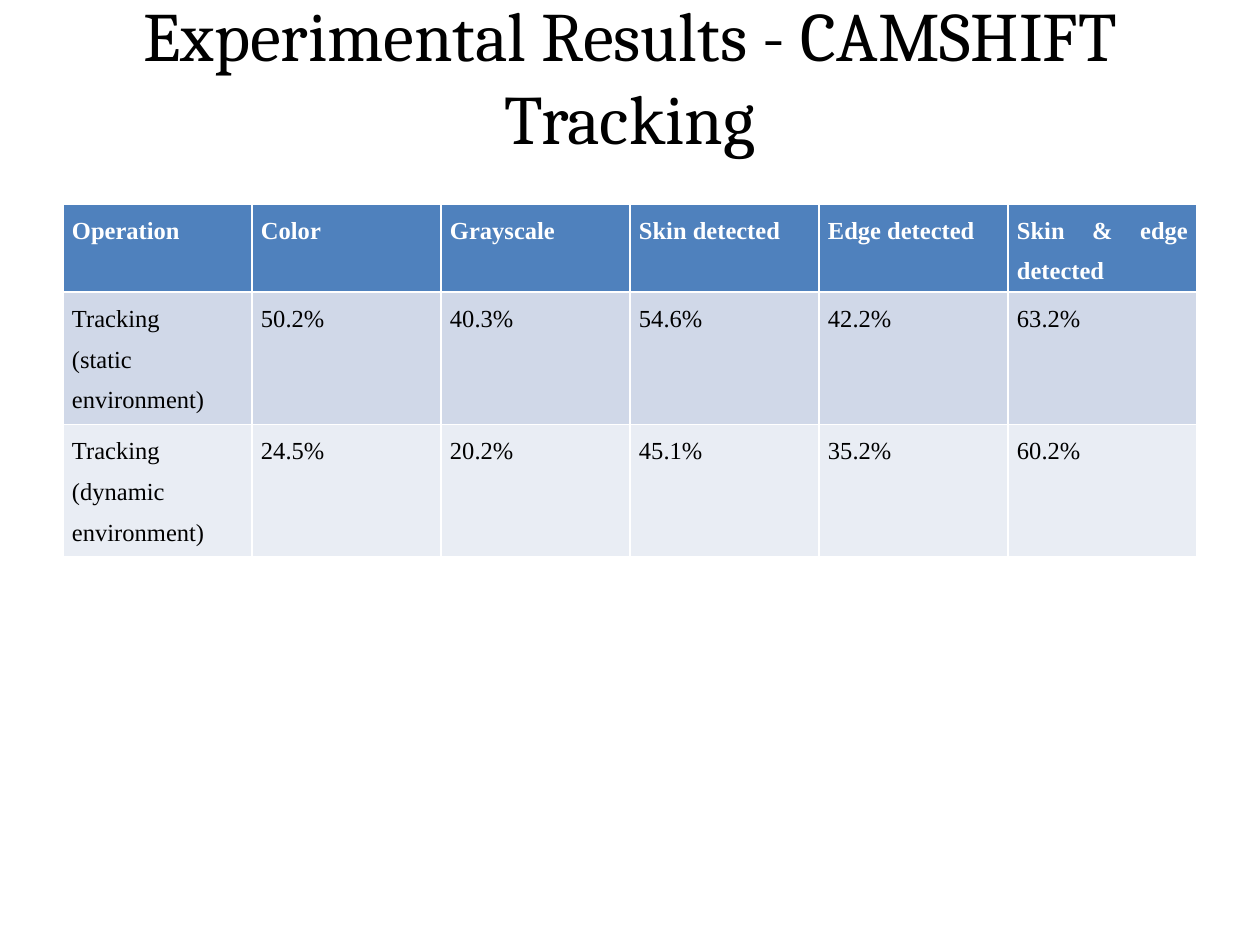
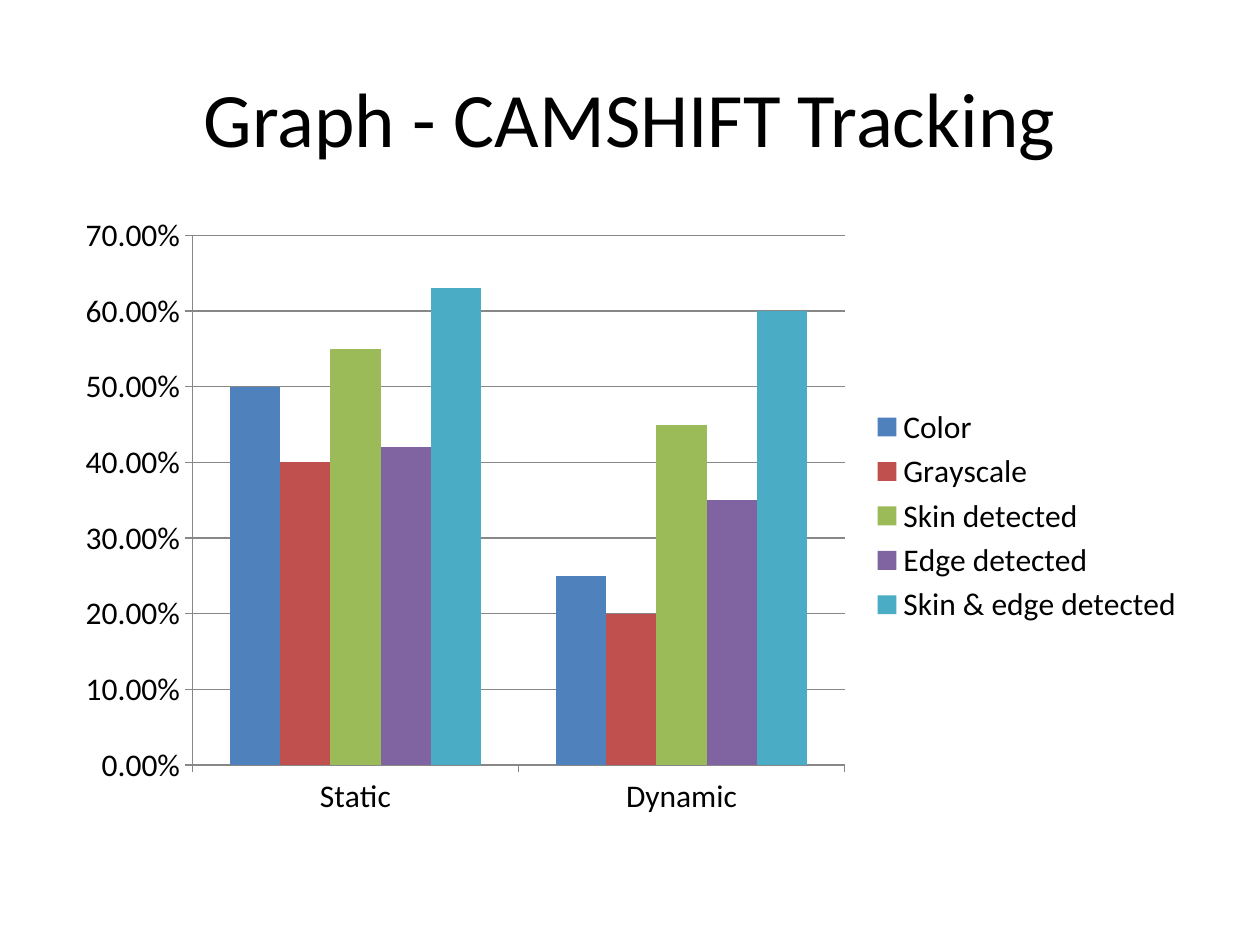
import dataclasses

import pptx
import pptx.chart.data
import pptx.dml.color
import pptx.enum.chart
import pptx.enum.text
import pptx.oxml
import pptx.oxml.ns
import pptx.util

ALIGN = pptx.enum.text.PP_ALIGN
PX_PER_INCH = 126


@dataclasses.dataclass(frozen=True)
class Theme:
    ink: str = "000000"
    paper: str = "FFFFFF"
    rule: str = "878787"
    header: str = "4F81BD"
    bands: tuple = ("D0D8E8", "E9EDF4")
    series: tuple = ("4F81BD", "C0504D", "9BBB59", "8064A2", "4BACC6")
    sans: str = "Calibri"
    title_serif: str = "Cambria"
    table_serif: str = "Times New Roman"
    title_size: float = 44
    long_title_size: float = 39.6
    chart_size: float = 18
    table_size: float = 14


@dataclasses.dataclass(frozen=True)
class Box:
    left: int
    top: int
    width: int
    height: int

    def emu(self):
        return [px(side) for side in dataclasses.astuple(self)]


THEME = Theme()
TITLE_BOX = Box(63, 38, 1134, 157)
TABLE_BOX = Box(63, 204, 1134, 339)
CHART_BOX = Box(63, 204, 1134, 624)
ROW_HEIGHT = 52

METHODS = ["Color", "Grayscale", "Skin detected", "Edge detected",
           "Skin & edge detected"]
TABLE_ROWS = [
    ["Operation", *METHODS],
    ["Tracking\n(static environment)",
     "50.2%", "40.3%", "54.6%", "42.2%", "63.2%"],
    ["Tracking\n(dynamic environment)",
     "24.5%", "20.2%", "45.1%", "35.2%", "60.2%"],
]
CHART_RATES = {
    "Static": [0.5, 0.4, 0.55, 0.42, 0.63],
    "Dynamic": [0.25, 0.2, 0.45, 0.35, 0.6],
}


def px(length):
    return pptx.util.Emu(round(length * 914400 / PX_PER_INCH))


def rgb(color):
    return pptx.dml.color.RGBColor.from_string(color)


def style_font(font, name, size, color, bold=False):
    font.name = name
    font.size = pptx.util.Pt(size)
    font.color.rgb = rgb(color)
    font.bold = bold


def write_text(frame, text, *, font, size, color=THEME.ink, bold=False,
               align=ALIGN.CENTER, line_spacing=None):
    """Fill a text frame, one paragraph for each line of text."""
    frame.word_wrap = True
    for number, line in enumerate(text.split("\n")):
        para = frame.add_paragraph() if number else frame.paragraphs[0]
        para.alignment = align
        if line_spacing:
            para.line_spacing = line_spacing
        span = para.add_run()
        span.text = line
        style_font(span.font, font, size, color, bold)


def add_title(page, box, text, *, font, size, bottom_inset=6):
    frame = page.shapes.add_textbox(*box.emu()).text_frame
    frame.vertical_anchor = pptx.enum.text.MSO_ANCHOR.MIDDLE
    frame.margin_bottom = px(bottom_inset)
    write_text(frame, text, font=font, size=size)


def add_cell_borders(cell):
    properties = cell._tc.get_or_add_tcPr()
    for tag in ("lnL", "lnR", "lnT", "lnB"):
        properties.append(pptx.oxml.parse_xml(
            f'<a:{tag} {pptx.oxml.ns.nsdecls("a")} w="{pptx.util.Pt(1)}">'
            f'<a:solidFill><a:srgbClr val="{THEME.paper}"/></a:solidFill>'
            f'</a:{tag}>'))


def add_rate_table(page, box):
    table = page.shapes.add_table(len(TABLE_ROWS), len(TABLE_ROWS[0]),
                                  *box.emu()).table
    for row_number, row in enumerate(TABLE_ROWS):
        # Rows start low and grow to fit their text
        table.rows[row_number].height = px(ROW_HEIGHT)
        is_header = row_number == 0
        fill = THEME.header if is_header else THEME.bands[row_number - 1]
        for column_number, text in enumerate(row):
            cell = table.cell(row_number, column_number)
            cell.margin_left = cell.margin_right = px(9)
            cell.margin_top = cell.margin_bottom = 0
            add_cell_borders(cell)
            cell.fill.solid()
            cell.fill.fore_color.rgb = rgb(fill)
            write_text(cell.text_frame, text, font=THEME.table_serif,
                       size=THEME.table_size, bold=is_header,
                       color=THEME.paper if is_header else THEME.ink,
                       align=ALIGN.JUSTIFY, line_spacing=1.5)


def style_rule(line):
    line.color.rgb = rgb(THEME.rule)
    line.width = pptx.util.Pt(0.75)


def add_rate_chart(page, box):
    data = pptx.chart.data.CategoryChartData(number_format="0.00%")
    data.categories = list(CHART_RATES)
    for method, rates in zip(METHODS, zip(*CHART_RATES.values())):
        data.add_series(method, rates)
    kind = pptx.enum.chart.XL_CHART_TYPE.COLUMN_CLUSTERED
    chart = page.shapes.add_chart(kind, *box.emu(), data).chart
    chart.has_title = False
    style_font(chart.font, THEME.sans, THEME.chart_size, THEME.ink)

    # Columns
    plot = chart.plots[0]
    plot.gap_width = 150
    plot.vary_by_categories = False
    for series, color in zip(plot.series, THEME.series):
        series.format.fill.solid()
        series.format.fill.fore_color.rgb = rgb(color)

    # Axes
    for axis in (chart.category_axis, chart.value_axis):
        axis.major_tick_mark = pptx.enum.chart.XL_TICK_MARK.OUTSIDE
        axis.minor_tick_mark = pptx.enum.chart.XL_TICK_MARK.NONE
        style_rule(axis.format.line)
    scale = chart.value_axis
    scale.minimum_scale, scale.maximum_scale, scale.major_unit = 0, 0.7, 0.1
    scale.has_major_gridlines = True
    style_rule(scale.major_gridlines.format.line)
    scale.tick_labels.number_format = "0.00%"
    scale.tick_labels.number_format_is_linked = False

    # Legend
    chart.has_legend = True
    chart.legend.position = pptx.enum.chart.XL_LEGEND_POSITION.RIGHT
    chart.legend.include_in_layout = False


def build_table_page(page):
    # The deep lower inset lifts the two-line title clear of the table
    add_title(page, TITLE_BOX, "Experimental Results - CAMSHIFT Tracking",
              font=THEME.title_serif, size=THEME.long_title_size,
              bottom_inset=89)
    add_rate_table(page, TABLE_BOX)


def build_chart_page(page):
    add_title(page, TITLE_BOX, "Graph - CAMSHIFT Tracking",
              font=THEME.sans, size=THEME.title_size)
    add_rate_chart(page, CHART_BOX)


def main():
    deck = pptx.Presentation()
    deck.slide_width, deck.slide_height = px(1260), px(945)
    blank = deck.slide_layouts[6]
    for build_page in (build_table_page, build_chart_page):
        build_page(deck.slides.add_slide(blank))
    deck.save("out.pptx")


if __name__ == "__main__":
    main()
